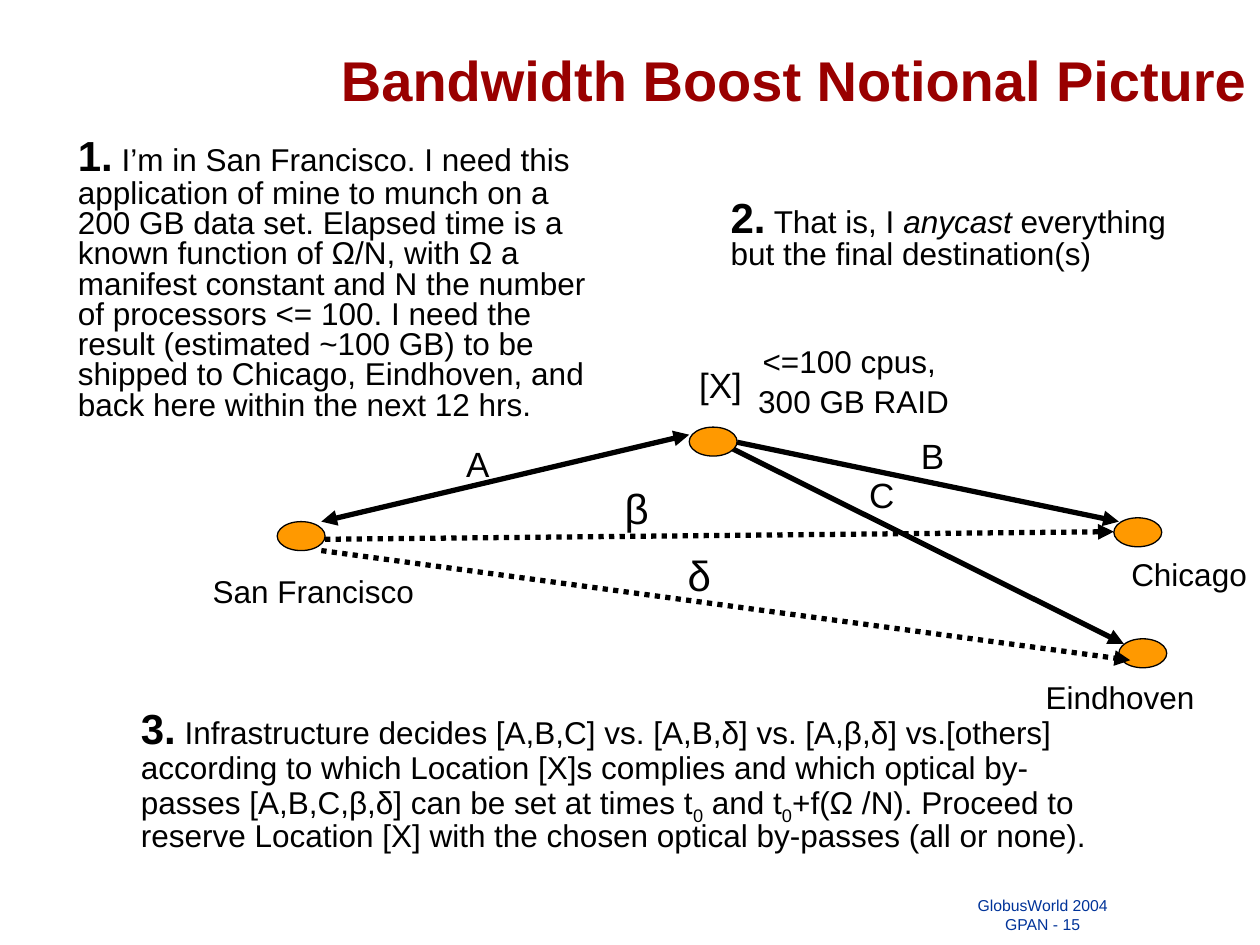
"""Build the bandwidth boost slide."""
from lxml import etree
from pptx import Presentation, util as u
from pptx.dml.color import RGBColor
from pptx.enum import dml, shapes, text
from pptx.oxml.ns import qn

BLACK = RGBColor(0, 0, 0)
RED = RGBColor(0x99, 0, 0)
BLUE = RGBColor(0, 0x33, 0x99)
ORANGE = RGBColor(0xFF, 0x99, 0)
COLS, ROWS = 100, 75
UNIT = u.Inches(0.1)
NODE = 3.8, 2.3
MID = text.PP_ALIGN.CENTER

TITLE = "Bandwidth Boost Notional Picture"
NEED = ("I’m in San Francisco. I need this application of mine to munch on a 200 GB "
        "data set. Elapsed time is a known function of Ω/N, with Ω a manifest constant "
        "and N the number of processors <= 100. I need the result (estimated ~100 GB) "
        "to be shipped to Chicago, Eindhoven, and back here within the next 12 hrs.")
PLAN = ("Infrastructure decides [A,B,C] vs. [A,B,δ] vs. [A,β,δ] vs.[others] according "
        "to which Location [X]s complies and which optical by-passes [A,B,C,β,δ] can be "
        "set at times t")
DONE = ("+f(Ω /N). Proceed to reserve Location [X] with the chosen optical by-passes "
        "(all or none).")

STEPS = [
    ("1.", [(" " + NEED, "")], (5.2, 10.6, 43.4, 23.4), 0.8),
    ("2.", [(" That is, I ", ""), ("anycast ", "italic"),
            ("everything but the final destination(s)", "")],
     (57, 15.5, 37.8, 6.6), 0.8),
    ("3.", [(" " + PLAN, ""), ("0", "sub"), (" and t", ""), ("0", "sub"), (DONE, "")],
     (10.2, 55.9, 78.7, 12.4), 0.85),
]
LABELS = [
    ("San Francisco", (15.9, 45.4, 18, 3.6), 18),
    ("Chicago", (88.8, 44, 11.2, 3.6), 18),
    ("Eindhoven", (82, 53.8, 13.8, 3.6), 18),
    ("[X]", (54.5, 28.9, 5.4, 3.9), 20),
    ("A", (36, 35.1, 3.8, 3.9), 20),
    ("B", (72.1, 34.5, 3.8, 3.9), 20),
    ("C", (68, 37.6, 4, 3.9), 20),
    ("β", (48.6, 38.4, 3.9, 4.4), 24),
    ("δ", (53.6, 43.7, 3.8, 4.4), 24),
]
NODES = [(22, 41.4), (88.4, 41.1), (88.8, 50.7), (54.7, 33.9)]
PATHS = [
    ((25.5, 41.4), (54.7, 34.5), ("headEnd", "tailEnd")),
    ((58.5, 35.1), (88.8, 41.4), ("tailEnd",)),
    ((57.5, 35.3), (89.2, 51.1), ("tailEnd",)),
]
PASSES = [((25.8, 42.8), (88.4, 42.2)), ((25.5, 43.7), (89.7, 52.4))]


def grid(*cells):
    return [round(c * UNIT) for c in cells]


def write(frame, paras, size=18, color=BLACK, bold=False, align=None,
          lead=None, gap=0, wrap=True):
    frame.word_wrap = wrap
    if not wrap:
        frame.auto_size = text.MSO_AUTO_SIZE.SHAPE_TO_FIT_TEXT
    for i, runs in enumerate(paras):
        para = frame.paragraphs[0] if i == 0 else frame.add_paragraph()
        para.alignment = align
        if lead:
            para.line_spacing = lead
        if i and gap:
            para.space_before = u.Pt(gap)
        for words, style in [(runs, "")] if isinstance(runs, str) else runs:
            run = para.add_run()
            run.text = words
            font = run.font
            font.name = "Arial"
            font.size = u.Pt(24 if style == "mark" else size)
            font.bold = bold or style == "mark"
            font.italic = style == "italic"
            font.color.rgb = color
            if style == "sub":
                run._r.get_or_add_rPr().set("baseline", "-25000")


def label(slide, paras, box, **form):
    write(slide.shapes.add_textbox(*grid(*box)).text_frame, paras, **form)


def node(slide, spot):
    oval = slide.shapes.add_shape(shapes.MSO_SHAPE.OVAL, *grid(*spot, *NODE))
    oval.shadow.inherit = False
    oval.fill.solid()
    oval.fill.fore_color.rgb = ORANGE
    oval.line.color.rgb = BLACK
    oval.line.width = u.Pt(0.75)


def link(slide, start, end, heads=("tailEnd",), dash=None):
    wire = slide.shapes.add_connector(
        shapes.MSO_CONNECTOR.STRAIGHT, *grid(*start, *end))
    wire.line.color.rgb = BLACK
    wire.line.width = u.Pt(3)
    if dash:
        wire.line.dash_style = dash
    props = wire._element.spPr
    for head in heads:
        etree.SubElement(props.find(qn("a:ln")), qn("a:" + head), type="triangle")
    etree.SubElement(props, qn("a:effectLst"))


def main():
    deck = Presentation()
    deck.slide_width, deck.slide_height = grid(COLS, ROWS)
    slide = deck.slides.add_slide(deck.slide_layouts[5])
    title = slide.shapes.title
    title.left, title.top, title.width, title.height = grid(16.3, 0, 83.7, 12.5)
    title.text_frame.vertical_anchor = text.MSO_ANCHOR.MIDDLE
    write(title.text_frame, [TITLE], size=32, color=RED, bold=True,
          align=text.PP_ALIGN.RIGHT)
    for mark, runs, box, lead in STEPS:
        label(slide, [[(mark, "mark"), *runs]], box, lead=lead)
    for start, end, heads in PATHS:
        link(slide, start, end, heads)
    for spot in NODES:
        node(slide, spot)
    for start, end in PASSES:
        link(slide, start, end, dash=dml.MSO_LINE.ROUND_DOT)
    for words, box, size in LABELS:
        label(slide, [words], box, size=size, lead=0.85, wrap=False)
    label(slide, ["<=100 cpus, ", "300 GB RAID"], (58.9, 27.1, 17.7, 6.8),
          align=MID, lead=0.85, gap=4.5, wrap=False)
    label(slide, ["GlobusWorld 2004", "GPAN - 15"], (71.4, 70.6, 22.7, 4),
          size=9, color=BLUE, align=MID)
    deck.save("out.pptx")


if __name__ == "__main__":
    main()
